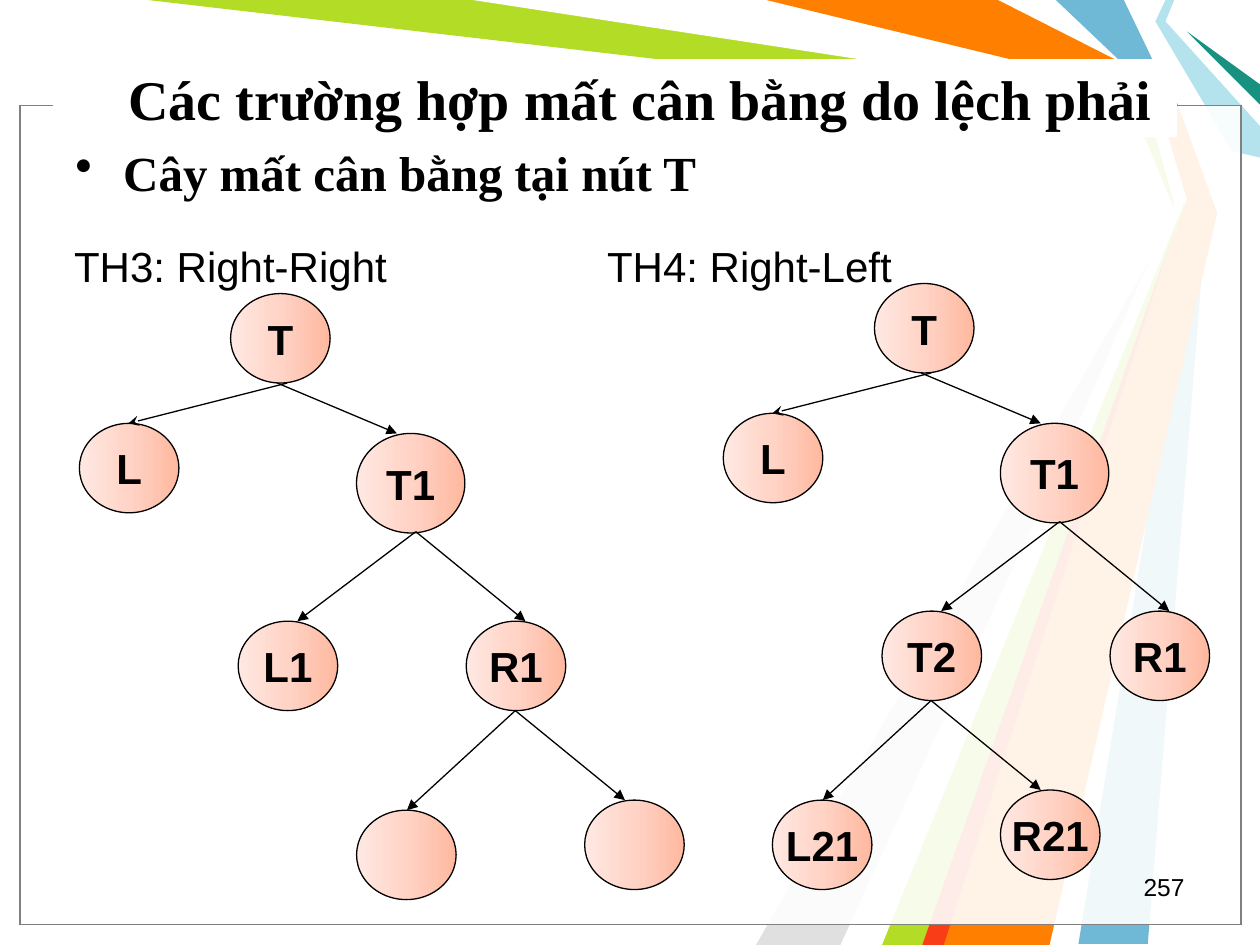
from copy import deepcopy

from lxml import etree
from pptx import Presentation
from pptx import util as u
from pptx.dml.color import RGBColor
from pptx.enum import shapes, text
from pptx.oxml.ns import qn

HUES = {
    "ink": "000000", "white": "FFFFFF", "gray": "808080", "mist": "E0E0E0",
    "blue": "6FB9D7", "lime": "B3DC27", "ice": "B4E3EE", "teal": "189180",
    "orange": "FF7F00", "red": "F93D17",
    "peach": "FFB8A0", "blush": "FFD3C5", "pale": "FFE9E3",
}

RAYS = [
    ("blue", [(8.92, 0), (9.29, 0.77), (9.58, 1.67), (9.11, 7.49), (8.56, 7.49),
              (9.5, 1.67), (9.17, 0.75), (8.38, 0)]),
    ("lime", [(1.17, 0), (3.83, 0), (9.14, 0.78), (9.42, 1.69), (7.42, 7.5),
              (6.92, 7.5), (9.35, 1.73), (9.01, 0.91)]),
    ("mist", [(6.67, 7.5), (9.27, 1.81), (6, 7.5)]),
    ("white", [(3.75, 0), (9.1, 0.82), (9.32, 1.62), (6.75, 7.5), (7, 7.5),
               (9.41, 1.58), (9.17, 0.75), (6, 0)]),
    ("ice", [(9.25, 0), (9.17, 0.17), (9.78, 1.2), (10, 1.25), (10, 1),
             (9.25, 0.17), (9.32, 0)]),
    ("teal", [(10, 0.83), (9.42, 0.25), (10, 0.67)]),
    ("orange", [(6.08, 0), (7.92, 0), (9.3, 0.7), (9.66, 1.69), (8.33, 7.5),
                (7.33, 7.5), (9.42, 1.58), (9.17, 0.75)]),
    ("red", [(7.32, 7.5), (9.32, 1.83), (7.49, 7.5)]),
]


def color(name):
    return RGBColor.from_string(HUES[name])


class Deck:
    sans = "Arial"
    serif = "Times New Roman"
    thin = u.Pt(0.75)

    def __init__(self):
        self.prs = Presentation()
        self.prs.slide_width = u.Inches(10)
        self.prs.slide_height = u.Inches(7.5)
        self.slide = self.prs.slides.add_slide(self.prs.slide_layouts[6])

    def paint(self, shape, fill, line=None):
        shape.shadow.inherit = False
        shape.fill.solid()
        shape.fill.fore_color.rgb = color(fill)
        self.edge(shape, line)

    def edge(self, shape, line):
        if line:
            shape.line.color.rgb = color(line)
            shape.line.width = self.thin
        else:
            shape.line.fill.background()

    def ray(self, fill, points):
        first, *rest = [(u.Inches(x), u.Inches(y)) for x, y in points]
        outline = self.slide.shapes.build_freeform(*first)
        outline.add_line_segments(rest)
        self.paint(outline.convert_to_shape(), fill)

    def rect(self, box, line=None, alpha=None):
        shape = self.slide.shapes.add_shape(
            shapes.MSO_SHAPE.RECTANGLE, *map(u.Inches, box))
        self.paint(shape, "white", line)
        if alpha:
            tint = shape._element.spPr.find(".//" + qn("a:srgbClr"))
            etree.SubElement(tint, qn("a:alpha"), val=str(alpha * 1000))
        return shape

    def fit(self, shape, words, size, font=None, bold=False, align="LEFT",
            anchor="TOP", wrap=True, bullet=False):
        frame = shape.text_frame
        frame.text = words
        frame.word_wrap = wrap
        frame.vertical_anchor = text.MSO_ANCHOR[anchor]
        para = frame.paragraphs[0]
        para.alignment = text.PP_ALIGN[align]
        if bullet:
            props = para._p.get_or_add_pPr()
            props.set("marL", str(u.Inches(0.38)))
            props.set("indent", str(u.Inches(-0.38)))
            etree.SubElement(props, qn("a:buChar"), char="•")
        for run in para.runs:
            run.font.name = font or self.sans
            run.font.size = u.Pt(size)
            run.font.bold = bold
            run.font.color.rgb = color("ink")

    def label(self, box, words, size, **style):
        shape = self.slide.shapes.add_textbox(*map(u.Inches, box))
        self.fit(shape, words, size, **style)

    def node(self, x, y, words, wide=0.79, high=0.71):
        shape = self.slide.shapes.add_shape(
            shapes.MSO_SHAPE.OVAL, *map(u.Inches, (x, y, wide, high)))
        shape.shadow.inherit = False
        shape.fill.gradient()
        shape.fill.gradient_angle = 180
        last = shape._element.spPr.find(".//" + qn("a:gsLst"))[-1]
        last.addprevious(deepcopy(last))
        for stop, spot, hue in zip(shape.fill.gradient_stops, (0, 0.5, 1),
                                   ("peach", "blush", "pale")):
            stop.position = spot
            stop.color.rgb = color(hue)
        self.edge(shape, "ink")
        if words:
            self.fit(shape, words, 24, bold=True, align="CENTER",
                     anchor="MIDDLE", wrap=False)

    def arrow(self, x, y, start, end, head="triangle"):
        ends = [u.Inches(v) for dx, dy in (start, end) for v in (x + dx, y + dy)]
        line = self.slide.shapes.add_connector(
            shapes.MSO_CONNECTOR.STRAIGHT, *ends)
        self.edge(line, "ink")
        props = line._element.spPr
        etree.SubElement(props.find(qn("a:ln")), qn("a:tailEnd"), type=head)
        etree.SubElement(props, qn("a:effectLst"))

    def tree(self, x, y, low, leaves, split):
        inner, outer = (x + 0.06, y + 2.6), (x + 1.87, y + 2.6)
        px, py = inner if split == "left" else outer
        self.node(x, y, "T")
        self.node(x + 1, y + 1.11, "T1", 0.86, 0.79)
        self.node(x - 1.2, y + 1.03, "L")
        self.node(*outer, "R1")
        self.node(*inner, low)
        self.node(px + 0.94, py + 1.42, leaves[1])
        self.node(px - 0.87, py + 1.5, leaves[0])
        self.arrow(x, y, (0.45, 0.71), (-0.81, 1.03), "stealth")
        self.arrow(x, y, (0.37, 0.71), (1.32, 1.11))
        for end in (2.34, 0.53):
            self.arrow(x, y, (1.47, 1.89), (end, 2.6))
        for end in ((-0.47, 1.5), (1.26, 1.42)):
            self.arrow(px, py, (0.39, 0.71), end)


def main():
    deck = Deck()
    for fill, points in RAYS:
        deck.ray(fill, points)
    for line in ("ink", "gray"):
        deck.rect((0.16, 0.84, 9.69, 6.5), line, 69)
    deck.rect((0.42, 0.74, 6.83, 0.17))
    title = deck.rect((0.92, 0.47, 8.42, 0.62))
    deck.fit(title, "Các trường hợp mất cân bằng do lệch phải", 32,
             font=deck.serif, bold=True, anchor="MIDDLE")
    deck.label((0.5, 1.08, 9, 5.62), "Cây mất cân bằng tại nút T", 28,
               font=deck.serif, bold=True, bullet=True)
    deck.label((7.17, 6.87, 2.33, 0.33), "257", 14, align="RIGHT")
    deck.tree(1.83, 2.33, "L1", ("", ""), "right")
    deck.tree(6.94, 2.25, "T2", ("L21", "R21"), "left")
    deck.label((0.49, 1.86, 2.76, 0.5), "TH3: Right-Right", 24)
    deck.label((4.72, 1.86, 2.6, 0.5), "TH4: Right-Left", 24)
    deck.prs.save("out.pptx")


if __name__ == "__main__":
    main()
